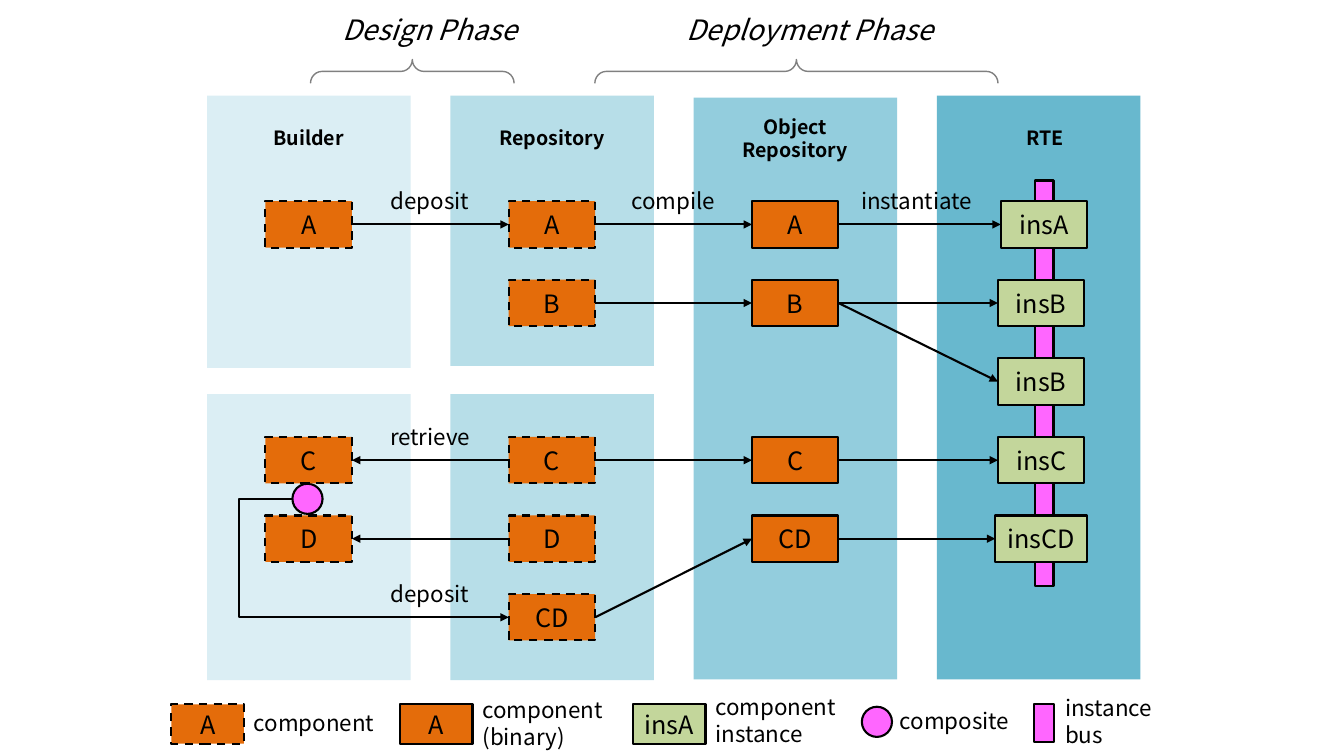
"""Draw the component life cycle from design to deployment."""
from lxml import etree
from pptx import Presentation
from pptx.dml import color
from pptx.enum import dml, shapes, text
from pptx.oxml import ns
from pptx.util import Cm, Pt

FONT = "Noto Sans CJK SC"
HUES = {
    "ink": "000000", "brace": "808080", "part": "E46C0A", "inst": "C3D69B", "bus": "FF66FF",
    "build": "DBEEF4", "repo": "B7DEE8", "object": "93CDDD", "run": "68B8CE",
}
KINDS = shapes.MSO_SHAPE
MID = text.PP_ALIGN.CENTER
LEFT = text.PP_ALIGN.LEFT
HEAD = {"size": Pt(14), "bold": True}
NOTE = {"size": Pt(16)}
NAME = {"size": Pt(18)}
PHASE = {"size": Pt(20), "italic": True}
STEP, ROW = 6.13, 1.98
WIDE, HIGH = 2.18, 1.17


def hue(key):
    """Return the named colour."""
    return color.RGBColor.from_string(HUES[key])


def col(num):
    """Return the left edge of the boxes in a column."""
    return 6.69 + STEP * num


def row(num):
    """Return the top edge of the boxes in a row."""
    return 5.07 + ROW * num


def write(frame, words, form, align):
    """Fill a text frame and format each paragraph."""
    frame.text = words
    for para in frame.paragraphs:
        para.alignment = align
        for run in para.runs:
            for key, val in {"name": FONT, **form}.items():
                setattr(run.font, key, val)
            run.font.color.rgb = hue("ink")


def shape(slide, kind, x, y, w, h, fill=None, line=None, width=1.5):
    """Add a preset shape without a shadow."""
    item = slide.shapes.add_shape(kind, Cm(x), Cm(y), Cm(w), Cm(h))
    item.shadow.inherit = False
    for part, key in ((item.fill, fill), (item.line.fill, line)):
        if key:
            part.solid()
            part.fore_color.rgb = hue(key)
        else:
            part.background()
    if line:
        item.line.width = Pt(width)
    return item


def box(slide, words, x, y, fill="part", dash=False, w=WIDE, h=HIGH):
    """Add a named box, dashed for source components."""
    item = shape(slide, KINDS.RECTANGLE, x, y, w, h, fill, "ink")
    if dash:
        item.line.dash_style = dml.MSO_LINE.DASH
    frame = item.text_frame
    frame.word_wrap = False
    frame.vertical_anchor = text.MSO_ANCHOR.MIDDLE
    write(frame, words, NAME, MID)
    return item


def label(slide, words, x, y, w, h, form, align=MID):
    """Add a plain text box."""
    frame = slide.shapes.add_textbox(Cm(x), Cm(y), Cm(w), Cm(h)).text_frame
    frame.word_wrap = True
    write(frame, words, form, align)


def brace(slide, x, y, size):
    """Add a brace that opens downward, centred on a point."""
    item = shape(slide, KINDS.LEFT_BRACE, x - 0.3, y - size / 2, 0.6, size, None, "brace", 1)
    item.rotation = 90
    item.adjustments[0] = 0.483


def arrow(slide, kind, ends=(0, 0, 0, 0)):
    """Add a connector with an arrowhead and no shadow."""
    item = slide.shapes.add_connector(kind, *map(Cm, ends))
    item.line.width = Pt(1.5)
    item.line.color.rgb = hue("ink")
    etree.SubElement(item.line._get_or_add_ln(), ns.qn("a:tailEnd"), type="triangle")
    etree.SubElement(item._element.spPr, ns.qn("a:effectLst"))
    return item


def link(slide, start, end, back=False):
    """Join the facing sides of two boxes."""
    item = arrow(slide, shapes.MSO_CONNECTOR.STRAIGHT)
    item.begin_connect(start, 1 if back else 3)
    item.end_connect(end, 3 if back else 1)


def loop(slide, ends, bend):
    """Add an elbow arrow that swings out by a share of its width."""
    item = arrow(slide, shapes.MSO_CONNECTOR.ELBOW, ends)
    geom = item._element.spPr.find(ns.qn("a:prstGeom"))
    rules = geom.find(ns.qn("a:avLst"))
    if rules is None:
        rules = etree.SubElement(geom, ns.qn("a:avLst"))
    etree.SubElement(rules, ns.qn("a:gd"), name="adj1", fmla=f"val {round(bend * 100000)}")


def panels(slide):
    """Draw the four stages with their headings and phases."""
    for num, y, h, fill in (
        (0, 2.41, 6.86, "build"), (0, 9.93, 7.21, "build"),
        (1, 2.41, 6.81, "repo"), (1, 9.93, 7.21, "repo"),
        (2, 2.46, 14.66, "object"), (3, 2.41, 14.71, "run"),
    ):
        shape(slide, KINDS.RECTANGLE, col(num) - 1.47, y, 5.13, h, fill)
    for num, words, y, shift in (
        (0, "Builder", 3.05, 0), (1, "Repository", 3.05, 0),
        (2, "Object\nRepository", 2.77, 0), (3, "RTE", 3.05, 0.16),
    ):
        label(slide, words, col(num) - 0.98 + shift, y, 4.14, 0.86, HEAD)
    for words, x, mid, size in (
        ("Design Phase", 10.83, 10.39, 5.13), ("Deployment Phase", 20.41, 20.07, 10.16),
    ):
        brace(slide, mid, 1.8, size)
        label(slide, words, x - 4.36, 0.2, 8.72, 1.12, PHASE)


def flow(slide):
    """Draw the components, the instances and the arrows between them."""
    shape(slide, KINDS.RECTANGLE, 26.09, 4.55, 0.46, 10.21, "bus", "ink")
    shape(slide, KINDS.OVAL, 7.37, 12.19, 0.76, 0.76, "bus", "ink")
    build = {r: box(slide, n, col(0), row(r), dash=True) for r, n in ((0, "A"), (3, "C"), (4, "D"))}
    repo = {
        r: box(slide, n, col(1), row(r), dash=True)
        for r, n in ((0, "A"), (1, "B"), (3, "C"), (4, "D"), (5, "CD"))
    }
    code = {
        r: box(slide, n, col(2), row(r))
        for r, n in ((0, "A"), (1, "B"), (3, "C"), (4, "CD"))
    }
    live = {
        r: box(slide, n, col(3) + dx, row(r), "inst", w=w)
        for r, n, dx, w in (
            (0, "insA", 0.14, WIDE), (1, "insB", 0.07, WIDE), (2, "insB", 0.07, WIDE),
            (3, "insC", 0.07, WIDE), (4, "insCD", 0, 2.31),
        )
    }
    link(slide, build[0], repo[0])
    for num in (3, 4):
        link(slide, repo[num], build[num], back=True)
    for start, end in ((0, 0), (1, 1), (3, 3), (5, 4)):
        link(slide, repo[start], code[end])
    for start, end in ((0, 0), (1, 1), (1, 2), (3, 3), (4, 4)):
        link(slide, code[start], live[end])
    loop(slide, (7.37, 12.57, col(1), row(5) + HIGH / 2), -0.248)
    for num, line, words in (
        (0, 0, "deposit"), (1, 0, "compile"), (2, 0, "instantiate"),
        (0, 3, "retrieve"), (0, 5, "deposit"),
    ):
        label(slide, words, col(num) + 2.18, row(line) - 0.47, 3.94, 0.94, NOTE)


def legend(slide):
    """Draw the key along the bottom edge."""
    for words, x, fill, dash in (
        ("A", 4.32, "part", True), ("A", 10.08, "part", False), ("insA", 15.95, "inst", False),
    ):
        box(slide, words, x, 17.75, fill, dash, 1.83, 0.99)
    shape(slide, KINDS.OVAL, 21.72, 17.81, 0.76, 0.76, "bus", "ink")
    shape(slide, KINDS.RECTANGLE, 26.06, 17.73, 0.51, 0.97, "bus", "ink")
    for words, x, y, w, h in (
        ("component", 6.15, 17.75, 4.39, 0.94), ("component\n(binary)", 11.91, 17.42, 3.86, 1.63),
        ("component\ninstance", 17.78, 17.35, 4.83, 1.63), ("composite", 22.43, 17.7, 3.45, 0.94),
        ("instance\vbus", 26.59, 17.37, 3.05, 1.63),
    ):
        label(slide, words, x, y, w, h, NOTE, LEFT)


def main():
    """Build and save the slide."""
    deck = Presentation()
    deck.slide_width, deck.slide_height = Cm(33.87), Cm(19.05)
    slide = deck.slides.add_slide(deck.slide_layouts[6])
    panels(slide)
    flow(slide)
    legend(slide)
    deck.save("out.pptx")


if __name__ == "__main__":
    main()
